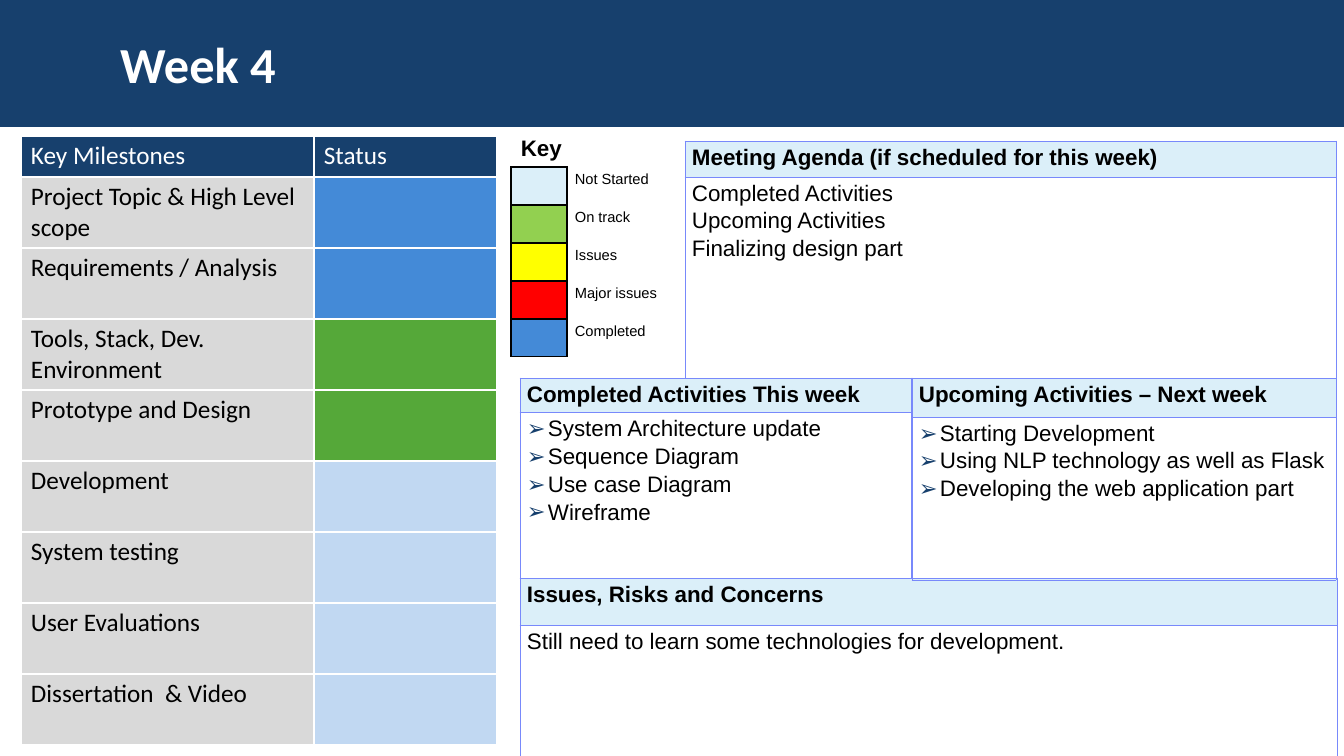
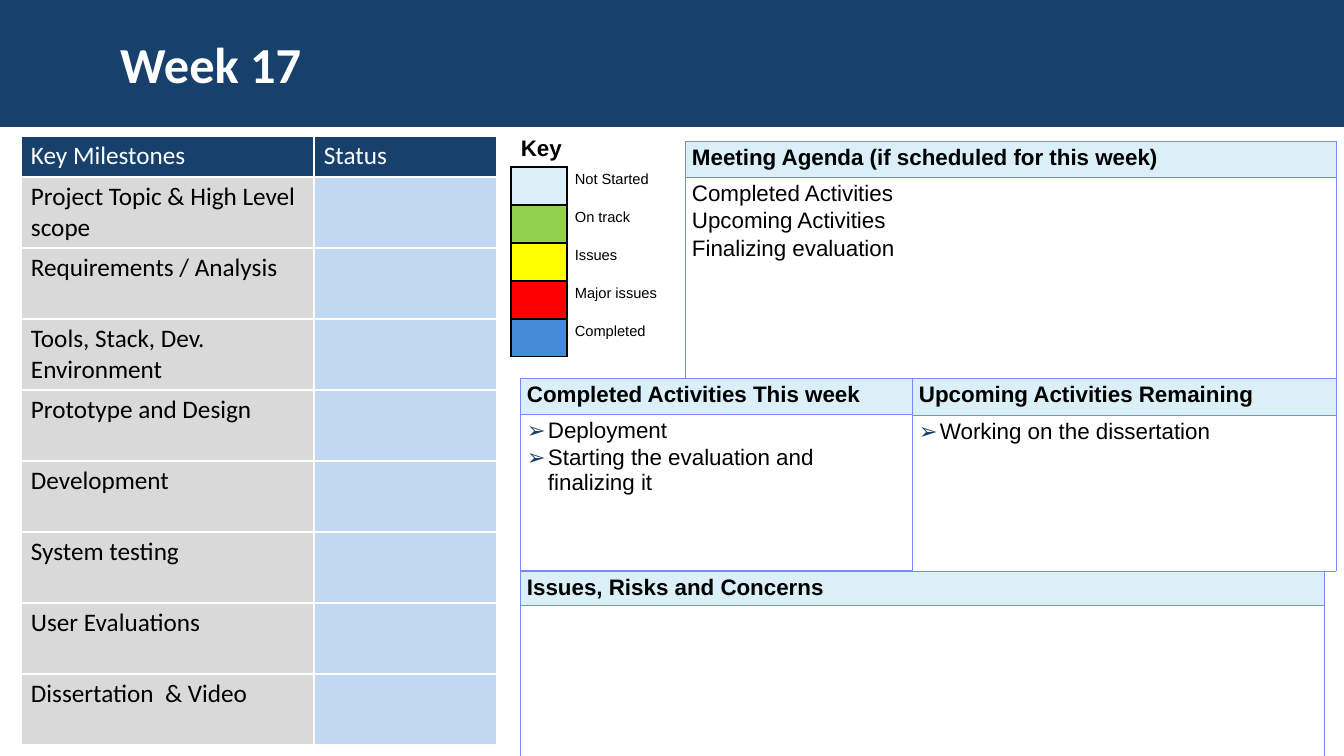
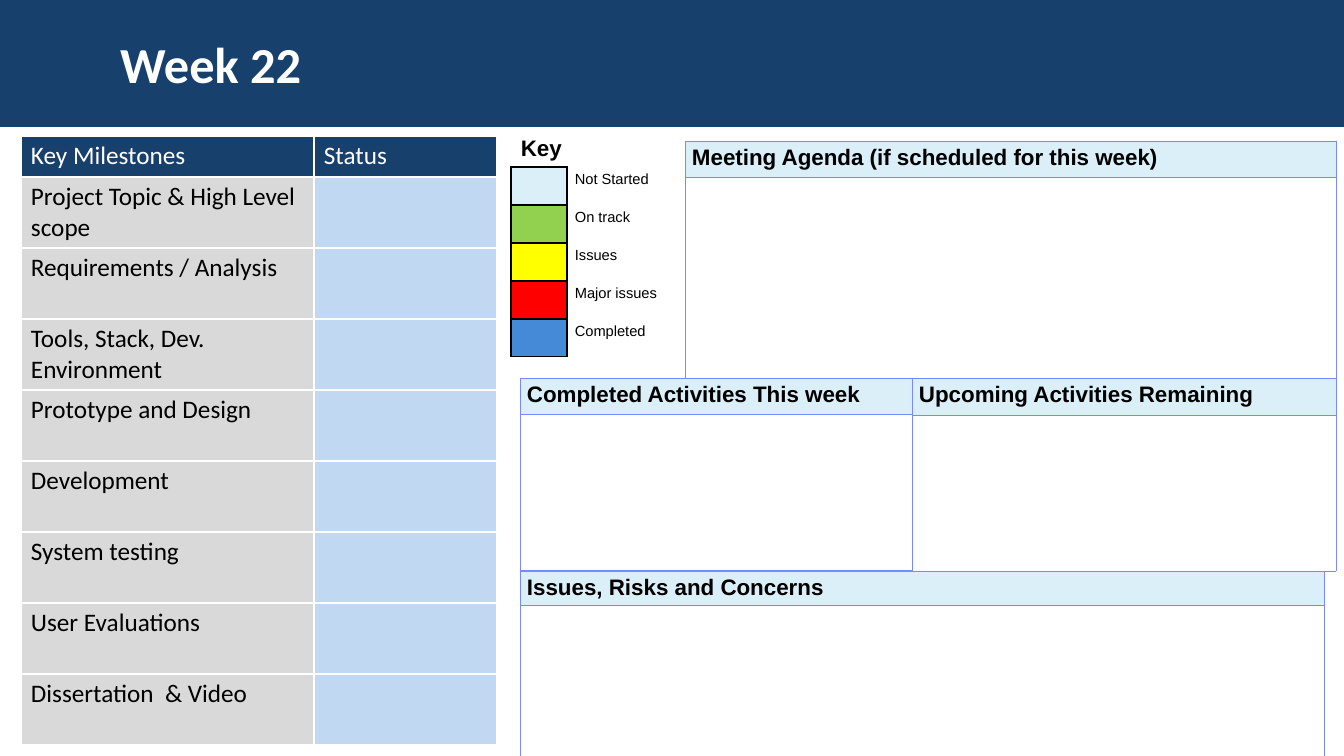
import lxml.etree
import pptx
import pptx.dml.color
import pptx.enum.shapes
import pptx.enum.text
import pptx.oxml.ns
import pptx.util

PX = 12192000 / 1344
NAVY, WHITE, BLACK = "17406D", "FFFFFF", "000000"
GREY, PALE, PERIWINKLE = "D9D9D9", "DBEFF9", "7889FB"
DONE, ON_TRACK, NOT_STARTED = "448AD7", "55A839", "C1D8F2"
NO_STYLE = "{2D5ABB26-0587-4C30-8999-92F81FD0307C}"
qn = pptx.oxml.ns.qn
rgb = pptx.dml.color.RGBColor.from_string


def px(*lengths):
    """Turn pixel lengths into a list of EMU."""
    return [round(length * PX) for length in lengths]


def write(frame, text, size=16, font="Arial", colour=BLACK, bold=False, bullet=None):
    """Put each line of text in its own paragraph of the frame."""
    for index, line in enumerate(text.split("\n")):
        para = frame.paragraphs[0] if index == 0 else frame.add_paragraph()
        para.alignment = pptx.enum.text.PP_ALIGN.LEFT
        if index:
            para.space_before = pptx.util.Pt(2)
        if bullet and line:
            properties = para._p.get_or_add_pPr()
            indent = px(21)[0]
            properties.set("marL", str(indent))
            properties.set("indent", str(-indent))
            bullet_colour = lxml.etree.SubElement(properties, qn("a:buClr"))
            lxml.etree.SubElement(bullet_colour, qn("a:srgbClr"), val=NAVY)
            lxml.etree.SubElement(properties, qn("a:buFont"), typeface=font)
            lxml.etree.SubElement(properties, qn("a:buChar"), char=bullet)
        if not line:
            lxml.etree.SubElement(para._p, qn("a:endParaRPr"), sz=str(int(size * 100)))
            continue
        span = para.add_run()
        span.text = line
        span.font.size = pptx.util.Pt(size)
        span.font.name = font
        span.font.bold = bold
        span.font.color.rgb = rgb(colour)


MILESTONES = [
    "Project Topic & High Level scope", "Requirements / Analysis",
    "Tools, Stack, Dev. Environment", "Prototype and Design", "Development",
    "System testing", "User Evaluations", "Dissertation  & Video",
]
KEY = [("Not Started", PALE), ("On track", "92D050"), ("Issues", "FFFF00"),
       ("Major issues", "FF0000"), ("Completed", DONE)]

# Panel places: left, top, width, heading height, body height
AGENDA_PLACE = (685, 141, 651, 36, 201)
FIRST_PLACES = [(520, 378, 391, 34, 166), AGENDA_PLACE,
                (520, 578, 817, 47, 133), (912, 378, 424, 39, 163)]
LATER_PLACES = [(520, 378, 392, 36, 156), AGENDA_PLACE,
                (520, 571, 804, 34, 152), (912, 378, 424, 37, 156)]

WEEKS = [
    {
        "title": "Week 4",
        "status": [DONE] * 2 + [ON_TRACK] * 2 + [NOT_STARTED] * 4,
        "places": FIRST_PLACES,
        "upcoming heading": "Upcoming Activities – Next week",
        "completed": "System Architecture update\nSequence Diagram\nUse case Diagram\nWireframe",
        "agenda": "Completed Activities\nUpcoming Activities\nFinalizing design part",
        "issues": "Still need to learn some technologies for development.",
        "upcoming": "Starting Development\nUsing NLP technology as well as Flask\n"
                    "Developing the web application part",
    },
    {
        "title": "Week 17",
        "status": [NOT_STARTED] * 8,
        "places": LATER_PLACES,
        "upcoming heading": "Upcoming Activities Remaining",
        "completed": "Deployment\nStarting the evaluation and finalizing it",
        "agenda": "Completed Activities\nUpcoming Activities\nFinalizing evaluation",
        "issues": "",
        "upcoming": "Working on the dissertation",
    },
    {
        "title": "Week 22",
        "status": [NOT_STARTED] * 8,
        "places": LATER_PLACES,
        "upcoming heading": "Upcoming Activities Remaining",
        "completed": "", "agenda": "", "issues": "", "upcoming": "",
    },
]

deck = pptx.Presentation()
deck.slide_width, deck.slide_height = px(1344, 756)
layout = deck.slide_layouts[5]
heading = layout.placeholders[0]
heading.left, heading.top, heading.width, heading.height = px(110, 21, 1105, 84)
pages = [deck.slides.add_slide(layout) for week in WEEKS]

# The band belongs to the layout, behind its placeholders
band = pages[0].shapes.add_shape(pptx.enum.shapes.MSO_SHAPE.RECTANGLE, *px(0, 0, 1344, 127))
band.shadow.inherit = False
band.fill.solid()
band.fill.fore_color.rgb = rgb(NAVY)
band.line.fill.background()
layout.shapes.element.insert(2, band.element)

for page, week in zip(pages, WEEKS):
    title = page.shapes.title.text_frame
    title.vertical_anchor = pptx.enum.text.MSO_ANCHOR.MIDDLE
    write(title, week["title"], size=36, font="Calibri", colour=WHITE, bold=True)

    key_box = page.shapes.add_textbox(*px(511, 129, 151, 37))
    key_box.text_frame.word_wrap = True
    write(key_box.text_frame, "Key", bold=True)

    # A cell is text, fill, format and bordered sides
    calibri = {"size": 18, "font": "Calibri"}
    header = {**calibri, "colour": WHITE}
    small = {"size": 10.5}
    milestone_rows = [[("Key Milestones", NAVY, header, "LRTB"), ("Status", NAVY, header, "LRTB")]]
    for name, status in zip(MILESTONES, week["status"]):
        milestone_rows.append([(name, GREY, calibri, "LRTB"), ("", status, calibri, "LRTB")])
    key_rows = [[("", fill, small, "LRTB"), (label, None, small, "L")] for label, fill in KEY]

    # A grid is left, top, column widths, row heights, side and top margin,
    # border colour, border width and rows
    grids = [
        (21, 136, [293, 183], [41] + [71] * 8, (10, 5), WHITE, 1, milestone_rows),
        (511, 167, [56, 141], [38] * 5, (8, 4), BLACK, 1, key_rows),
    ]
    panels = [
        ("Completed Activities This week", week["completed"], "➢"),
        ("Meeting Agenda (if scheduled for this week)", week["agenda"], None),
        ("Issues, Risks and Concerns", week["issues"], None),
        (week["upcoming heading"], week["upcoming"], "➢"),
    ]
    for (left, top, width, *heights), (name, body, bullet) in zip(week["places"], panels):
        panel_rows = [[(name, PALE, {"bold": True}, "LRTB")],
                      [(body, None, {"bullet": bullet}, "LRTB")]]
        grids.append((left, top, [width], heights, (7, 4), PERIWINKLE, 0.71, panel_rows))

    for left, top, widths, heights, margins, line_colour, line_width, rows in grids:
        holder = page.shapes.add_table(len(heights), len(widths),
                                       *px(left, top, sum(widths), sum(heights)))
        holder.element.find(".//" + qn("a:tableStyleId")).text = NO_STYLE
        table = holder.table
        table.first_row = table.horz_banding = False
        for column, width in zip(table.columns, px(*widths)):
            column.width = width
        for row, height, contents in zip(table.rows, px(*heights), rows):
            row.height = height
            for cell, (text, fill, form, sides) in zip(row.cells, contents):
                cell.margin_left, cell.margin_top = px(*margins)
                cell.margin_right, cell.margin_bottom = px(*margins)
                for side in sides:
                    border = lxml.etree.SubElement(
                        cell._tc.get_or_add_tcPr(), qn("a:ln" + side),
                        w=str(int(pptx.util.Pt(line_width))))
                    paint = lxml.etree.SubElement(border, qn("a:solidFill"))
                    lxml.etree.SubElement(paint, qn("a:srgbClr"), val=line_colour)
                if fill:
                    cell.fill.solid()
                    cell.fill.fore_color.rgb = rgb(fill)
                else:
                    cell.fill.background()
                write(cell.text_frame, text, **form)

deck.save("out.pptx")
